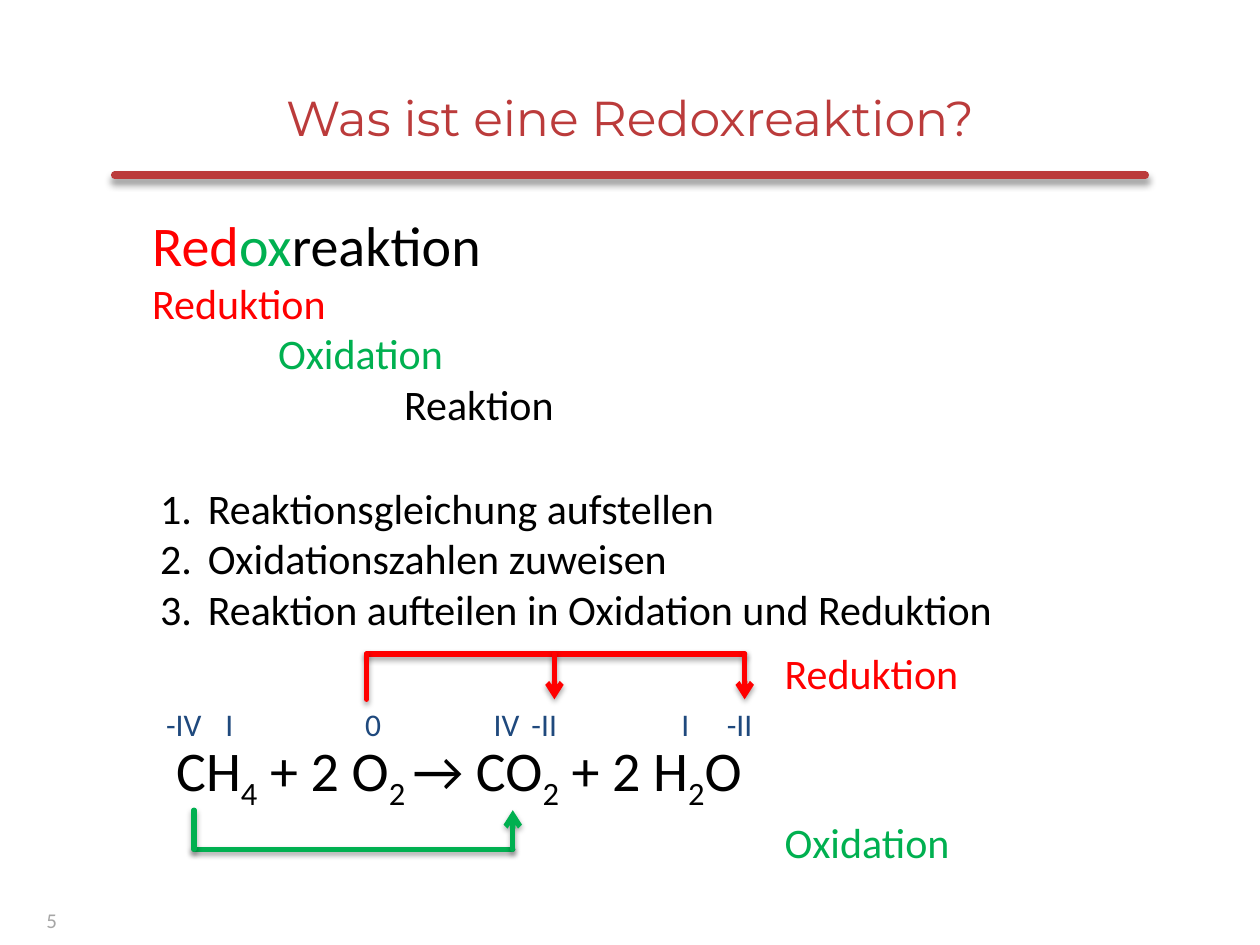
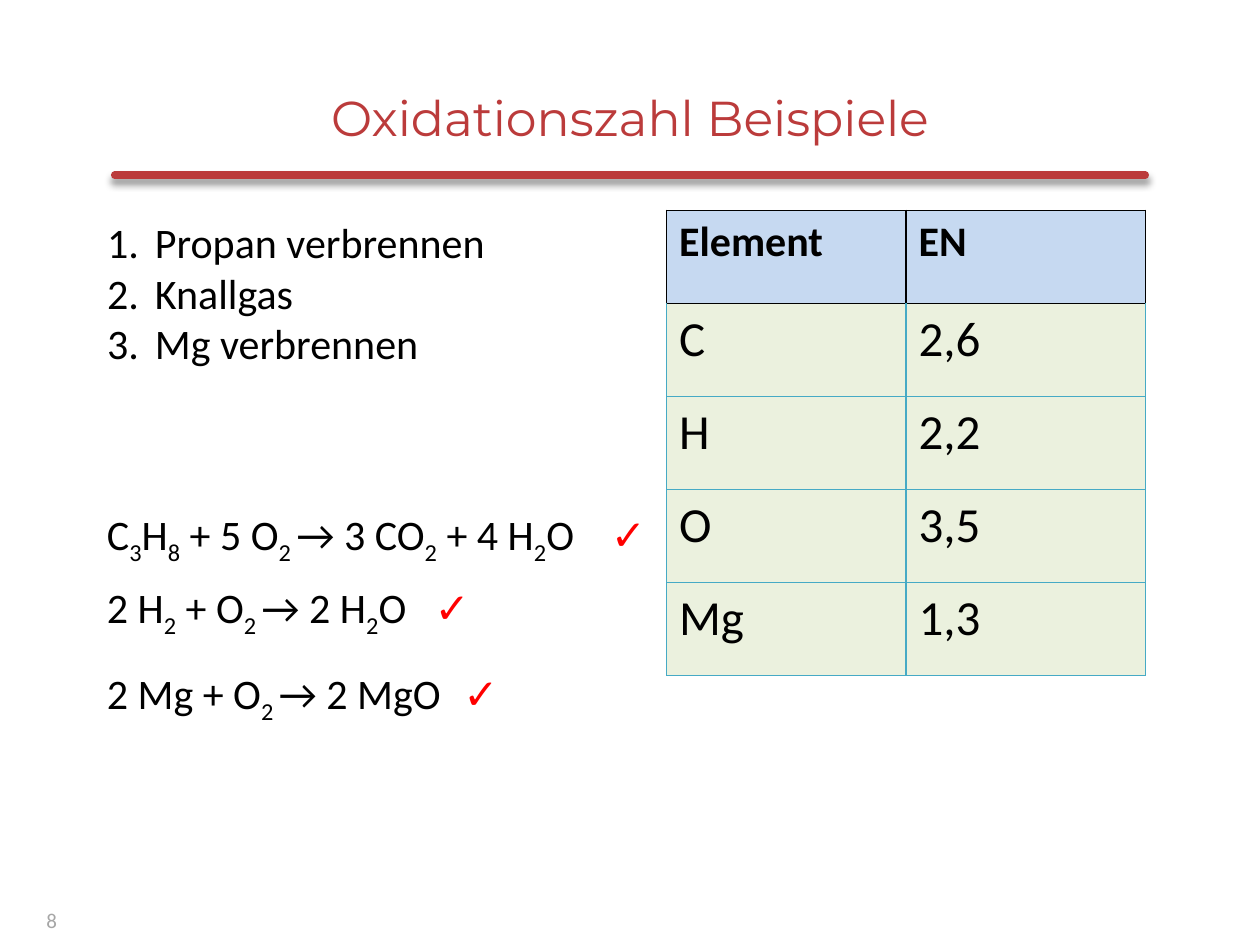
"""Build two chemistry slides about redox reactions and oxidation numbers."""
from dataclasses import dataclass
from typing import NamedTuple

from lxml import etree
from pptx import Presentation
from pptx import util as u
from pptx.dml.color import RGBColor
from pptx.enum import shapes, text
from pptx.oxml import ns

PX = 9144
FONT, TITLE_FONT = "Calibri", "Montserrat"
BRAND, BLACK, GRAY, NAVY = "BB3B3B", "000000", "A6A6A6", "1F497D"
RED, GREEN = "FF0000", "00B050"
HEADER_FILL, BODY_FILL, GRID = "C6D9F1", "EBF1DE", "46AAC5"


class Box(NamedTuple):
    """Place and size in px."""
    left: int
    top: int
    width: int
    height: int


class Shadow(NamedTuple):
    """Opacity in percent, blur and distance in points."""
    opacity: int
    blur: float
    distance: float


@dataclass
class Label:
    """A one-line text box."""
    content: str
    box: Box
    size: int = 24
    color: str = BLACK


@dataclass
class Stroke:
    """A straight line between two points."""
    start: tuple[int, int]
    end: tuple[int, int]
    arrow: bool = False


@dataclass
class Equation:
    """A balanced equation with the left edge of its check mark."""
    content: str
    top: int
    width: int
    check_left: int


RULE_SHADOW = Shadow(40, 4, 3)
BRACKET_SHADOW = Shadow(35, 3.1, 1.8)

OXIDATION_NUMBERS = [
    ("I", 169, 24), ("-IV", 122, 63), ("0", 280, 24), ("IV", 382, 50),
    ("-II", 412, 56), ("I", 531, 24), ("-II", 567, 49),
]
EQUATIONS = [
    Equation("C|3|H|8| + 5 O|2 |→ 3 CO|2| + 4 H|2|O", 399, 418, 475),
    Equation("2 H|2| + O|2 |→ 2 H|2|O", 457, 386, 335),
    Equation("2 Mg + O|2 |→ 2 MgO", 525, 339, 358),
]
ELECTRONEGATIVITIES = [
    ("Element", "EN"), ("C", "2,6"), ("H", "2,2"), ("O", "3,5"), ("Mg", "1,3"),
]


def paint(code: str) -> RGBColor:
    """Turn a hex string into a colour."""
    return RGBColor.from_string(code)


def add_node(parent, tag: str, **attributes):
    """Append a drawing element with attributes."""
    values = {name: str(value) for name, value in attributes.items()}
    return etree.SubElement(parent, ns.qn(f"a:{tag}"), values)


def place(shape, box: Box) -> None:
    """Move and size a shape."""
    shape.left, shape.top, shape.width, shape.height = (side * PX for side in box)


def write(paragraph, content: str, *, size=24, color=BLACK, font=FONT,
          bold=False, align=None, indent=0) -> None:
    """Append formatted text, where every second part between bars is subscript."""
    if align is not None:
        paragraph.alignment = align
    if indent:
        paragraph._p.get_or_add_pPr().set("marL", str(indent * PX))
    for position, part in enumerate(content.split("|")):
        run = paragraph.add_run()
        run.text = part
        run.font.size = u.Pt(size)
        run.font.name = font
        run.font.bold = bold
        run.font.color.rgb = paint(color)
        if position % 2:
            run.font._element.set("baseline", "-25000")


def add_frame(slide, box: Box, grow: bool = True):
    """Add a wrapping text box and return its text frame."""
    frame = slide.shapes.add_textbox(*(side * PX for side in box)).text_frame
    frame.word_wrap = True
    if grow:
        frame.auto_size = text.MSO_AUTO_SIZE.SHAPE_TO_FIT_TEXT
    return frame


def add_label(slide, label: Label) -> None:
    """Add a one-line text box."""
    frame = add_frame(slide, label.box)
    write(frame.paragraphs[0], label.content, size=label.size, color=label.color)


def add_stroke(parent, stroke: Stroke, color: str, width: float, shadow: Shadow) -> None:
    """Draw a line with round caps, a shadow and an optional arrowhead."""
    points = [value * PX for value in (*stroke.start, *stroke.end)]
    connector = parent.shapes.add_connector(shapes.MSO_CONNECTOR.STRAIGHT, *points)
    connector.line.color.rgb = paint(color)
    connector.line.width = u.Pt(width)
    line = connector.line._get_or_add_ln()
    line.set("cap", "rnd")
    if stroke.arrow:
        add_node(line, "tailEnd", type="arrow")
    effects = add_node(connector.element.spPr, "effectLst")
    outer = add_node(effects, "outerShdw", blurRad=u.Pt(shadow.blur),
                     dist=u.Pt(shadow.distance), dir=5400000, rotWithShape=0)
    shade = add_node(outer, "srgbClr", val=BLACK)
    add_node(shade, "alpha", val=shadow.opacity * 1000)


def add_bracket(slide, color: str, strokes: list[Stroke]) -> None:
    """Draw a group of lines linking atoms in the equation."""
    group = slide.shapes.add_group_shape()
    for stroke in strokes:
        add_stroke(group, stroke, color, 3, BRACKET_SHADOW)


def fill_list(placeholder, box: Box, items: list[str]) -> None:
    """Write a numbered list into the body placeholder."""
    place(placeholder, box)
    frame = placeholder.text_frame
    frame.auto_size = text.MSO_AUTO_SIZE.NONE
    for position, item in enumerate(items):
        paragraph = frame.add_paragraph() if position else frame.paragraphs[0]
        paragraph.space_before = u.Pt(0)
        write(paragraph, item, indent=38)
        properties = paragraph._p.get_or_add_pPr()
        properties.set("indent", str(-38 * PX))
        add_node(properties, "buFont", typeface="+mj-lt")
        add_node(properties, "buAutoNum", type="arabicPeriod")


def add_base(presentation, title: str, number: str, list_box: Box, items: list[str]):
    """Add a slide with title, rule, page number and numbered list."""
    slide = presentation.slides.add_slide(presentation.slide_layouts[1])
    add_stroke(slide, Stroke((91, 139), (909, 139)), BRAND, 4.25, RULE_SHADOW)
    heading = slide.shapes.title
    place(heading, Box(50, 30, 900, 125))
    heading.text_frame.vertical_anchor = text.MSO_ANCHOR.MIDDLE
    write(heading.text_frame.paragraphs[0], title, size=28, color=BRAND,
          font=TITLE_FONT, align=text.PP_ALIGN.CENTER)
    footer = add_frame(slide, Box(0, 710, 55, 40), grow=False)
    footer.vertical_anchor = text.MSO_ANCHOR.MIDDLE
    write(footer.paragraphs[0], number, size=12, color=GRAY, align=text.PP_ALIGN.RIGHT)
    fill_list(slide.placeholders[1], list_box, items)
    return slide


def set_borders(cell, color: str, width: float, top_color: str, top_width: float) -> None:
    """Draw the four sides of a cell."""
    properties = cell._tc.get_or_add_tcPr()
    for position, side in enumerate("LRTB"):
        side_color, side_width = (top_color, top_width) if side == "T" else (color, width)
        line = add_node(properties, f"ln{side}", w=u.Pt(side_width))
        add_node(add_node(line, "solidFill"), "srgbClr", val=side_color)
        properties.insert(position, line)


def add_value_table(slide, box: Box, rows: list[tuple[str, str]]) -> None:
    """Add the table of electronegativities."""
    table = slide.shapes.add_table(len(rows), len(rows[0]),
                                   *(side * PX for side in box)).table
    table.horz_banding = False
    for row_index, row in enumerate(rows):
        header = row_index == 0
        for column_index, content in enumerate(row):
            cell = table.cell(row_index, column_index)
            cell.fill.solid()
            cell.fill.fore_color.rgb = paint(HEADER_FILL if header else BODY_FILL)
            write(cell.text_frame.paragraphs[0], content,
                  size=24 if header else 28, bold=header)
            side = (BLACK, 1) if header else (GRID, 0.75)
            top = (BLACK, 1) if row_index < 2 else side
            set_borders(cell, *side, *top)


def build_redox_slide(presentation) -> None:
    """Explain the word and mark both half reactions."""
    slide = add_base(presentation, "Was ist eine Redoxreaktion?", "5",
                     Box(117, 378, 752, 131),
                     ["Reaktionsgleichung aufstellen", "Oxidationszahlen zuweisen",
                      "Reaktion aufteilen in Oxidation und Reduktion"])
    frame = add_frame(slide, Box(111, 162, 546, 215))
    for part, color in (("Red", RED), ("ox", GREEN), ("reaktion", BLACK)):
        write(frame.paragraphs[0], part, size=32, color=color)
    word_parts = (("Reduktion", RED), ("Oxidation", GREEN), ("Reaktion", BLACK))
    for step, (word, color) in enumerate(word_parts):
        write(frame.add_paragraph(), word, color=color, indent=step * 100)

    add_label(slide, Label("CH|4| + 2 O|2 |→ CO|2| + 2 H|2|O", Box(130, 579, 496, 64), 32))
    for content, left, width in OXIDATION_NUMBERS:
        add_label(slide, Label(content, Box(left, 555, width, 40), 18, NAVY))
    add_bracket(slide, GREEN, [
        Stroke((154, 674), (407, 674)),
        Stroke((407, 674), (407, 643), arrow=True),
        Stroke((154, 674), (154, 643)),
    ])
    add_bracket(slide, RED, [
        Stroke((291, 519), (591, 519)),
        Stroke((591, 519), (591, 555), arrow=True),
        Stroke((291, 519), (291, 555)),
        Stroke((440, 519), (440, 555), arrow=True),
    ])
    add_label(slide, Label("Oxidation", Box(613, 643, 224, 81), color=GREEN))
    add_label(slide, Label("Reduktion", Box(613, 509, 224, 81), color=RED))


def build_examples_slide(presentation) -> None:
    """Show example equations beside the electronegativities."""
    slide = add_base(presentation, "Oxidationszahl Beispiele", "8",
                     Box(75, 167, 354, 131),
                     ["Propan verbrennen", "Knallgas", "Mg verbrennen"])
    add_value_table(slide, Box(529, 167, 380, 369), ELECTRONEGATIVITIES)
    for equation in EQUATIONS:
        add_label(slide, Label(equation.content, Box(75, equation.top, equation.width, 50)))
        add_label(slide, Label("✓", Box(equation.check_left, equation.top, 35, 50), color=RED))


def main() -> None:
    """Build and save the presentation."""
    presentation = Presentation()
    presentation.slide_width, presentation.slide_height = 1000 * PX, 750 * PX
    build_redox_slide(presentation)
    build_examples_slide(presentation)
    presentation.save("out.pptx")


if __name__ == "__main__":
    main()
